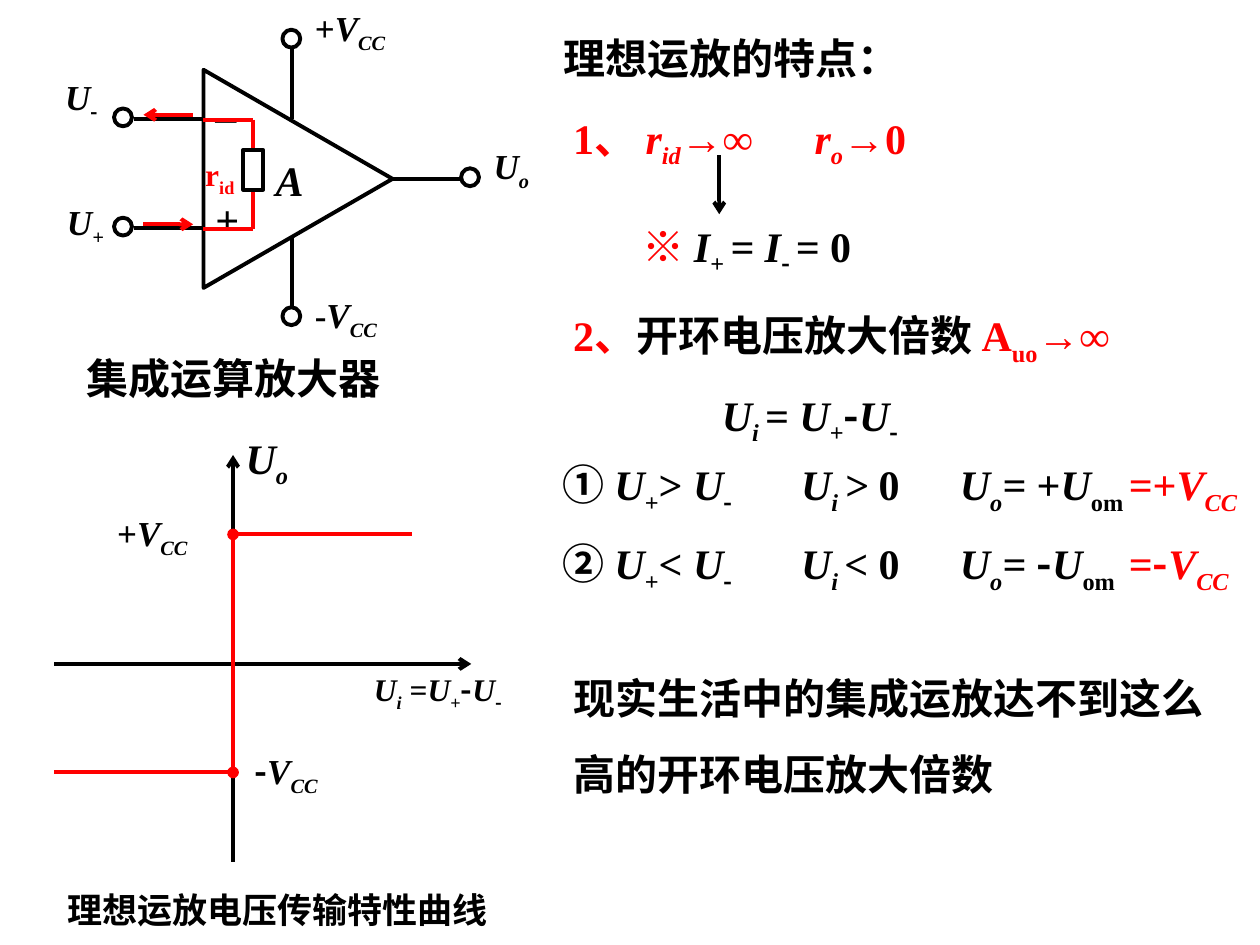
from dataclasses import dataclass
from functools import partial
from typing import NamedTuple, Optional

from lxml import etree
from pptx import Presentation
from pptx.dml.color import RGBColor
from pptx.enum.shapes import MSO_CONNECTOR, MSO_SHAPE
from pptx.enum.text import MSO_ANCHOR, MSO_AUTO_SIZE, PP_ALIGN
from pptx.oxml.ns import qn
from pptx.util import Pt

STRAIGHT = MSO_CONNECTOR.STRAIGHT
TRIANGLE = MSO_SHAPE.ISOSCELES_TRIANGLE
CIRCLE = MSO_SHAPE.OVAL
RECTANGLE = MSO_SHAPE.RECTANGLE
TOP = MSO_ANCHOR.TOP
LEFT = PP_ALIGN.LEFT
NO_AUTOFIT = MSO_AUTO_SIZE.NONE


@dataclass(frozen=True)
class Theme:
    ink: RGBColor = RGBColor(0, 0, 0)
    accent: RGBColor = RGBColor(255, 0, 0)
    paper: RGBColor = RGBColor(255, 255, 255)
    serif: str = "Times New Roman"
    sans: str = "Noto Sans CJK SC"
    body: float = 24
    label: float = 20
    small: float = 18
    stroke: float = 2.25


THEME = Theme()


class Term(NamedTuple):
    text: str
    italic: bool = False
    sub: bool = False
    sans: bool = False
    color: Optional[RGBColor] = None


@dataclass(frozen=True)
class Label:
    x: float
    y: float
    width: float
    height: float
    terms: list[Term]
    size: float = THEME.body
    color: RGBColor = THEME.ink
    line_spacing: Optional[float] = None
    tab: Optional[float] = None


@dataclass(frozen=True)
class Wire:
    x1: float
    y1: float
    x2: float
    y2: float
    color: RGBColor = THEME.ink
    start: Optional[str] = None
    end: Optional[str] = None


symbol = partial(Term, italic=True)
index = partial(Term, italic=True, sub=True)
plain_index = partial(Term, sub=True)
sans = partial(Term, sans=True)
MINUS = sans("-")
U_PLUS = [symbol("U"), plain_index("+")]
U_MINUS = [symbol("U"), Term("-", sub=True, sans=True)]
V_CC = [symbol("V"), index("CC")]
U_O = [symbol("U"), index("o")]
SUPPLY_PLUS = [Term("+"), *V_CC]


def fill_text(frame, label: Label) -> None:
    frame_format = {
        "word_wrap": True, "auto_size": NO_AUTOFIT, "vertical_anchor": TOP,
        "margin_left": Pt(7.2), "margin_right": Pt(7.2),
        "margin_top": Pt(3.6), "margin_bottom": Pt(3.6),
    }
    for name, value in frame_format.items():
        setattr(frame, name, value)
    paragraph = frame.paragraphs[0]
    paragraph.alignment = LEFT
    paragraph.space_before = Pt(0)
    if label.line_spacing:
        paragraph.line_spacing = label.line_spacing
    if label.tab:
        tabs = etree.SubElement(paragraph._p.get_or_add_pPr(), qn("a:tabLst"))
        etree.SubElement(tabs, qn("a:tab"), pos=str(Pt(label.tab)), algn="l")
    for term in label.terms:
        run = paragraph.add_run()
        run.text = term.text
        font_format = {
            "size": Pt(label.size), "bold": True, "italic": term.italic,
            "name": THEME.sans if term.sans else THEME.serif,
        }
        for name, value in font_format.items():
            setattr(run.font, name, value)
        run.font.color.rgb = term.color or label.color
        properties = run._r.get_or_add_rPr()
        etree.SubElement(properties, qn("a:ea"), typeface=THEME.sans)
        if term.sub:
            properties.set("baseline", "-25000")


def draw_label(slide, label: Label) -> None:
    box = slide.shapes.add_textbox(
        Pt(label.x), Pt(label.y), Pt(label.width), Pt(label.height))
    fill_text(box.text_frame, label)


def draw_wire(slide, wire: Wire) -> None:
    connector = slide.shapes.add_connector(
        STRAIGHT, Pt(wire.x1), Pt(wire.y1), Pt(wire.x2), Pt(wire.y2))
    connector.line.color.rgb = wire.color
    connector.line.width = Pt(THEME.stroke)
    line = connector.line._get_or_add_ln()
    for tag, kind in (("a:headEnd", wire.start), ("a:tailEnd", wire.end)):
        if kind:
            etree.SubElement(line, qn(tag), type=kind)
    etree.SubElement(connector._element.spPr, qn("a:effectLst"))


def draw_outline(slide, kind, x: float, y: float, width: float, height: float,
                 rotation: float = 0) -> None:
    shape = slide.shapes.add_shape(kind, Pt(x), Pt(y), Pt(width), Pt(height))
    shape.rotation = rotation
    shape.shadow.inherit = False
    shape.fill.solid()
    shape.fill.fore_color.rgb = THEME.paper
    shape.line.color.rgb = THEME.ink
    shape.line.width = Pt(THEME.stroke)


def draw_amplifier(slide) -> None:
    left, apex, supply_x = 116, 224, 167
    minus_y, plus_y, output_y = 67.8, 130.4, 102.2
    draw_outline(slide, TRIANGLE, 108, 48.2, 124.6, 108, 90)
    for wire in (
        Wire(left, minus_y, 76.4, minus_y),
        Wire(left, plus_y, 76.4, plus_y),
        Wire(apex, output_y, 263.5, output_y),
        Wire(supply_x, minus_y, supply_x, 28.2),
        Wire(supply_x, 175.6, supply_x, 136),
    ):
        draw_wire(slide, wire)
    for x, y in ((65.2, 124.4), (65.2, 62), (263.5, 96.2),
                 (161.4, 17), (161.4, 175.6)):
        draw_outline(slide, CIRCLE, x, y, 10.2, 10.2)
    for label in (
        Label(150.4, 85, 102, 36, [symbol("A")]),
        Label(30.2, 39.6, 102, 34.6, U_MINUS, THEME.label),
        Label(31.2, 110.9, 102, 35, [symbol("U"), index("+")], THEME.label),
        Label(275, 79.2, 65.6, 34.6, U_O, THEME.label),
        Label(left, 39.6, 45.4, 36, [Term("_")]),
        Label(left, 107.3, 45.4, 36, [Term("+")]),
        Label(172.8, 0, 96.4, 34.6, SUPPLY_PLUS, THEME.label),
        Label(172.8, 164.2, 96.4, 34.6, [Term("-"), *V_CC], THEME.label),
        Label(42.4, 198, 204.4, 36, [Term("集成运算放大器")]),
    ):
        draw_label(slide, label)
    resistor_x, upper, lower = 144.7, 68.4, 131
    for ends in ((left, upper, resistor_x, upper),
                 (left, lower, resistor_x, lower),
                 (resistor_x, upper, resistor_x, lower)):
        draw_wire(slide, Wire(*ends, THEME.accent))
    draw_outline(slide, RECTANGLE, 139, 85.7, 11.4, 22.7)
    draw_label(slide, Label(110.2, 85.2, 45.4, 35, [Term("r"), plain_index("id")],
                            THEME.small, THEME.accent))
    draw_wire(slide, Wire(82, 128.2, 110.4, 128.2, THEME.accent, end="arrow"))
    draw_wire(slide, Wire(82, 65.6, 110.4, 65.6, THEME.accent, start="arrow"))


def draw_transfer_curve(slide) -> None:
    left, axis_x, axis_y, high, low = 31, 133.2, 379.4, 305.4, 441.4
    for wire in (
        Wire(left, axis_y, 269.3, axis_y, end="arrow"),
        Wire(axis_x, 260, axis_x, 492.5, start="arrow"),
        Wire(axis_x, high, axis_x, low, THEME.accent),
        Wire(axis_x, low, left, low, THEME.accent, start="oval"),
        Wire(axis_x, high, 235.4, high, THEME.accent, start="oval"),
    ):
        draw_wire(slide, wire)
    input_terms = [symbol("U"), index("i"), Term(" ="), *U_PLUS, MINUS, *U_MINUS]
    for label in (
        Label(206.6, 379.4, 102, 32, input_terms, THEME.small),
        Label(axis_x, 243.4, 68.4, 40, U_O),
        Label(59.8, 288.7, 85, 34.6, SUPPLY_PLUS, THEME.label),
        Label(138.2, 424.8, 86, 34.6, [MINUS, *V_CC], THEME.label),
        Label(31.4, 504, 272, 36, [Term("理想运放电压传输特性曲线")], THEME.label),
    ):
        draw_label(slide, label)


def draw_properties(slide) -> None:
    red, ink = THEME.accent, THEME.ink
    left = 320.4
    for label in (
        Label(left, 60.5, 363, 40,
              [Term("1、 "), symbol("r"), index("id"), Term("→∞\t"),
               symbol("r"), index("o"), Term("→0")], color=red, tab=138),
        Label(360, 122.4, 215, 40,
              [sans("※ ", color=red), symbol("I"), plain_index("+ "), symbol("= I"),
               Term("- ", sub=True, sans=True), symbol("= "), Term("0")]),
        Label(left, 173.5, 369, 40,
              [Term("2、"), Term("开环电压放大倍数 ", color=ink), Term("A"),
               plain_index("uo"), Term("→∞")], color=red),
        Label(405.4, 218.9, 164, 40,
              [symbol("U"), index("i "), symbol("= "), *U_PLUS, MINUS, *U_MINUS]),
        Label(left, 366.5, 380, 93.6,
              [Term("现实生活中的集成运放达不到这么高的开环电压放大倍数")],
              line_spacing=1.5),
    ):
        draw_label(slide, label)
    draw_wire(slide, Wire(411, 88.6, 411, 122.4, end="arrow"))
    cases = (("① ", "> ", Term("+")), ("② ", "< ", MINUS))
    for row, (number, relation, sign) in enumerate(cases):
        y = 258.5 + 45.3 * row
        columns = (
            (314.6, 187, [sans(number), *U_PLUS, Term(relation), *U_MINUS], ink),
            (450.7, 79, [symbol("U"), index("i "), symbol(relation), Term("0")], ink),
            (541.4, 153, [*U_O, symbol("= "), sign, symbol("U"), plain_index("om")], ink),
            (638, 102, [Term("="), sign, *V_CC], red),
        )
        for x, width, terms, color in columns:
            draw_label(slide, Label(x, y, width, 40, terms, color=color))


def main() -> None:
    presentation = Presentation()
    presentation.slide_width, presentation.slide_height = Pt(720), Pt(540)
    slide = presentation.slides.add_slide(presentation.slide_layouts[5])
    heading = Label(314.6, 15.1, 289.4, 36, [Term("理想运放的特点：")])
    title = slide.shapes.title
    for side, value in (("left", heading.x), ("top", heading.y),
                        ("width", heading.width), ("height", heading.height)):
        setattr(title, side, Pt(value))
    fill_text(title.text_frame, heading)
    draw_amplifier(slide)
    draw_transfer_curve(slide)
    draw_properties(slide)
    presentation.save("out.pptx")


if __name__ == "__main__":
    main()
